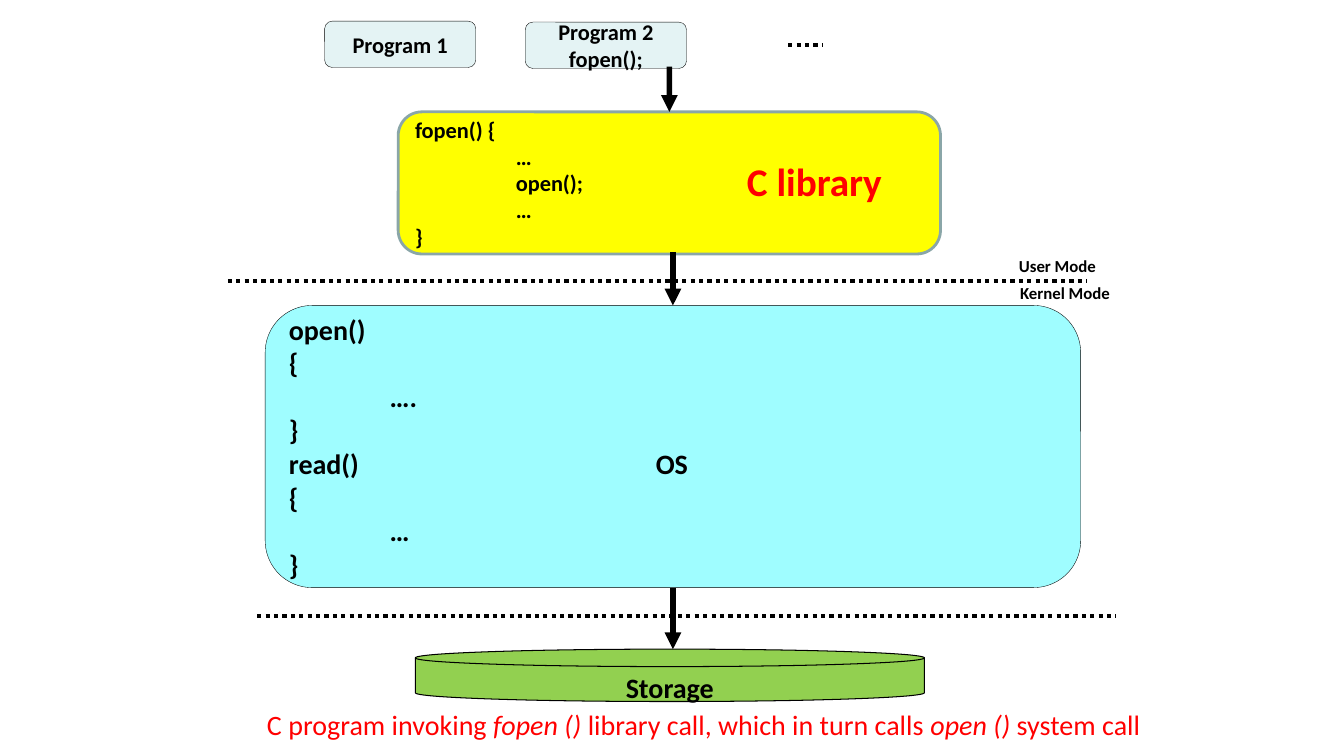
"""Draw the path of a file call from C programs through the kernel to storage."""
from dataclasses import dataclass
from typing import Any, Optional

import pptx
import pptx.dml.color
import pptx.enum.dml
import pptx.enum.shapes
import pptx.enum.text
import pptx.oxml
import pptx.oxml.ns
import pptx.util

RGB = pptx.dml.color.RGBColor
BLACK = RGB(0x00, 0x00, 0x00)
RED = RGB(0xFF, 0x00, 0x00)
PALE = RGB(0xE4, 0xF3, 0xF4)
YELLOW = RGB(0xFF, 0xFF, 0x00)
SLATE = RGB(0x8A, 0xA6, 0xA8)
CYAN = RGB(0x9F, 0xFD, 0xFF)
GREEN = RGB(0x92, 0xD0, 0x50)

KIND = pptx.enum.shapes.MSO_SHAPE
ALIGN = pptx.enum.text.PP_ALIGN
ANCHOR = pptx.enum.text.MSO_ANCHOR
WIDE, HIGH = pptx.util.Inches(13.33), pptx.util.Inches(7.5)
INDENT, MIDDLE = 7.5, 27.3
TOP, BOTTOM = 0, 2


@dataclass
class Box:
    """A filled shape, placed in percent of the slide."""
    left: float
    top: float
    width: float
    height: float
    text: str
    size: int = 16
    fill: Optional[RGB] = None
    edge: RGB = BLACK
    weight: float = 0.25
    color: RGB = BLACK
    align: ALIGN = ALIGN.CENTER
    kind: KIND = KIND.ROUNDED_RECTANGLE


@dataclass
class Label:
    """A free line of text, placed in percent of the slide."""
    left: float
    top: float
    width: float
    height: float
    text: str
    size: int = 12
    color: RGB = BLACK
    bold: bool = True
    align: ALIGN = ALIGN.CENTER


@dataclass
class Link:
    """A straight line, with the boxes that it may join."""
    left: float
    top: float
    right: float
    bottom: float
    weight: float = 3
    arrow: bool = False
    source: Any = None
    target: Any = None


def col(share: float) -> int:
    """Turn a percentage of the slide's width into a length."""
    return round(WIDE * share / 100)


def row(share: float) -> int:
    """Turn a percentage of the slide's height into a length."""
    return round(HIGH * share / 100)


def place(item: Any) -> tuple:
    """Give the left, top, width and height of a box or label."""
    return col(item.left), row(item.top), col(item.width), row(item.height)


def add_tab(para: Any, share: float) -> None:
    """Give a paragraph one left tab stop."""
    space = pptx.oxml.ns.nsdecls("a")
    stops = f'<a:tabLst {space}><a:tab pos="{col(share)}" algn="l"/></a:tabLst>'
    para._p.get_or_add_pPr().append(pptx.oxml.parse_xml(stops))


def write(frame: Any, text: str, *, size: int, color: RGB,
          align: ALIGN, bold: bool = True) -> None:
    """Write lines of text, with italics between asterisks."""
    for count, line in enumerate(text.split("\n")):
        para = frame.add_paragraph() if count else frame.paragraphs[0]
        para.alignment = align
        if "\t" in line:
            add_tab(para, INDENT if line.startswith("\t") else MIDDLE)
        for part, words in enumerate(line.split("*")):
            run = para.add_run()
            run.text = words
            font = run.font
            font.name, font.size = "Calibri", pptx.util.Pt(size)
            font.bold, font.italic = bold, part % 2 == 1
            font.color.rgb = color


def add_box(slide: Any, box: Box) -> Any:
    """Draw a box and its text."""
    shape = slide.shapes.add_shape(box.kind, *place(box))
    shape.shadow.inherit = False
    if box.fill is None:
        shape.fill.background()
        shape.line.fill.background()
    else:
        shape.fill.solid()
        shape.fill.fore_color.rgb = box.fill
        shape.line.color.rgb = box.edge
        shape.line.width = pptx.util.Pt(box.weight)
    frame = shape.text_frame
    frame.word_wrap = True
    frame.vertical_anchor = ANCHOR.MIDDLE
    if box.kind == KIND.FLOWCHART_MAGNETIC_DISK:
        frame.vertical_anchor = ANCHOR.TOP
        frame.margin_left = frame.margin_right = pptx.util.Inches(0.07)
        frame.margin_top = frame.margin_bottom = pptx.util.Inches(0.04)
    write(frame, box.text, size=box.size, color=box.color, align=box.align)
    return shape


def add_label(slide: Any, label: Label) -> None:
    """Draw a label that grows with its text."""
    frame = slide.shapes.add_textbox(*place(label)).text_frame
    frame.word_wrap = False
    frame.auto_size = pptx.enum.text.MSO_AUTO_SIZE.SHAPE_TO_FIT_TEXT
    write(frame, label.text, size=label.size, color=label.color,
          align=label.align, bold=label.bold)


def add_link(slide: Any, link: Link) -> None:
    """Draw an arrow or a dotted line."""
    line = slide.shapes.add_connector(
        pptx.enum.shapes.MSO_CONNECTOR.STRAIGHT,
        col(link.left), row(link.top), col(link.right), row(link.bottom))
    line.line.color.rgb = BLACK
    line.line.width = pptx.util.Pt(link.weight)
    space = pptx.oxml.ns.nsdecls("a")
    if link.arrow:
        head = pptx.oxml.parse_xml(f'<a:tailEnd {space} type="triangle"/>')
        line.line._get_or_add_ln().append(head)
    else:
        line.line.dash_style = pptx.enum.dml.MSO_LINE.ROUND_DOT
    line._element.spPr.append(pptx.oxml.parse_xml(f"<a:effectLst {space}/>"))
    if link.source is not None:
        line.begin_connect(link.source, BOTTOM)
    if link.target is not None:
        line.end_connect(link.target, TOP)


def main() -> None:
    """Build the slide and save it."""
    deck = pptx.Presentation()
    deck.slide_width, deck.slide_height = WIDE, HIGH
    slide = deck.slides.add_slide(deck.slide_layouts[6])

    for box in (
        Box(39.08, 2.93, 12, 6.13, "Program 2\nfopen();", fill=PALE),
        Box(24.15, 2.8, 11.25, 6.13, "Program 1", fill=PALE),
        Box(30.9, 85.87, 37.88, 6.93, "Storage", 20, GREEN, weight=0.75,
            kind=KIND.FLOWCHART_MAGNETIC_DISK),
    ):
        add_box(slide, box)
    lib = add_box(slide, Box(
        29.63, 14.8, 40.35, 18.8, "fopen() {\n\t…\n\topen();\n\t…\n}",
        fill=YELLOW, edge=SLATE, weight=2, align=ALIGN.LEFT))
    add_box(slide, Box(53.55, 20.8, 14.1, 6.13, "C library", 28, color=RED))
    kernel = add_box(slide, Box(
        19.73, 40.4, 60.68, 37.33,
        "open()\n{\n\t….\n}\nread()\tOS\n{\n\t…\n}", 20, CYAN, align=ALIGN.LEFT))

    for link in (
        Link(16.95, 37.2, 80.85, 37.2),
        Link(58.65, 6, 61.2, 6),
        Link(19.13, 81.47, 83.03, 81.47),
        Link(49.8, 8.8, 49.8, 14.8, 4, True, target=lib),
        Link(50.07, 33.33, 50.07, 40.4, 4, True, target=kernel),
        Link(50.07, 77.73, 50.07, 85.87, 4, True, source=kernel),
    ):
        add_link(slide, link)
    for label in (
        Label(75, 33.2, 7.35, 4, "User Mode"),
        Label(75.08, 36.8, 8.33, 4, "Kernel Mode"),
        Label(19.13, 92.93, 67.05, 5.87, "C program invoking *fopen ()* library call, "
              "which in turn calls *open ()* system call", 20, RED, False, ALIGN.LEFT),
    ):
        add_label(slide, label)
    deck.save("out.pptx")


if __name__ == "__main__":
    main()
